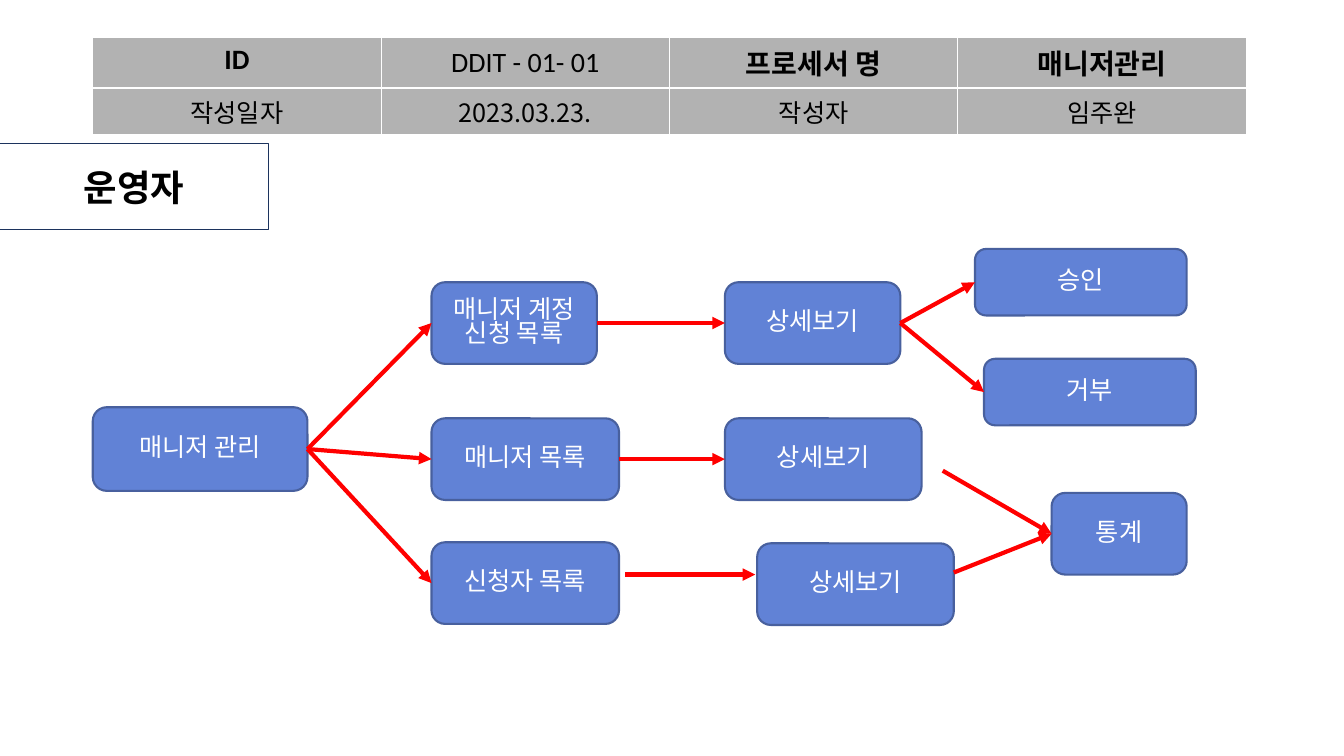
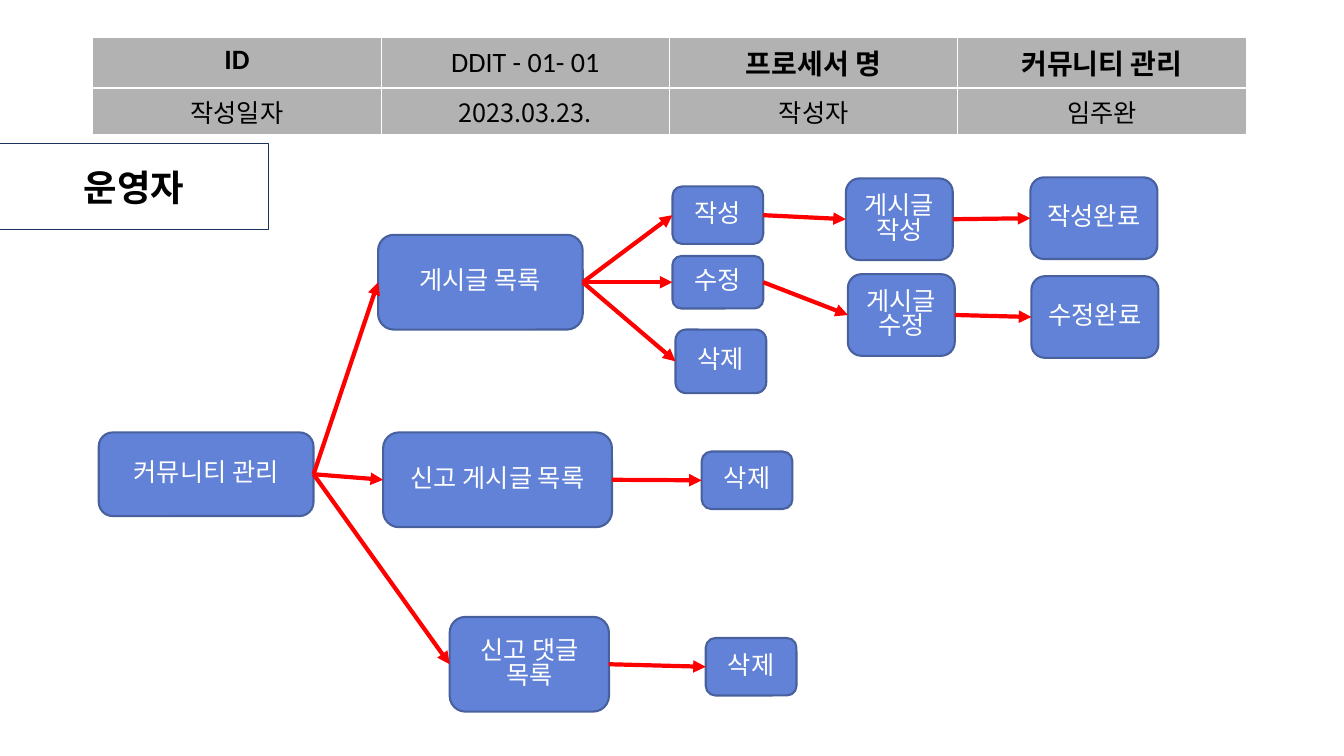
from lxml import etree
from pptx import Presentation
from pptx.dml.color import RGBColor
from pptx.enum.shapes import MSO_CONNECTOR, MSO_SHAPE
from pptx.enum.text import MSO_ANCHOR, PP_ALIGN
from pptx.oxml import parse_xml
from pptx.oxml.ns import nsdecls, qn
from pptx.util import Pt

PX = 9144
WHITE = RGBColor(0xFF, 0xFF, 0xFF)
BLACK = RGBColor(0, 0, 0)
GRAY = RGBColor(0xB2, 0xB2, 0xB2)
BLUE = RGBColor(0x61, 0x82, 0xD6)
BLUE_EDGE = RGBColor(0x48, 0x60, 0x9E)
NAVY = RGBColor(0x1C, 0x33, 0x5D)
RED = RGBColor(0xFF, 0, 0)
RECT, ROUNDED = MSO_SHAPE.RECTANGLE, MSO_SHAPE.ROUNDED_RECTANGLE
STRAIGHT = MSO_CONNECTOR.STRAIGHT
CENTER, TOP, MIDDLE = PP_ALIGN.CENTER, MSO_ANCHOR.TOP, MSO_ANCHOR.MIDDLE
LEFT_SIDE, RIGHT_SIDE = 1, 3
KOREAN, LATIN = "Noto Sans CJK KR", "Calibri"

NODE_FONT = {"name": KOREAN, "size": Pt(18), "bold": False}
ROLE_FONT = {"name": KOREAN, "size": Pt(26), "bold": True}
HEAD_FONT = {"name": LATIN, "size": Pt(20), "bold": True}
HEAD_PLAIN = {**HEAD_FONT, "bold": False}
NODE_STYLE = (ROUNDED, BLUE, BLUE_EDGE, 1.5, WHITE, NODE_FONT, 0.82)
ROLE_STYLE = (RECT, WHITE, NAVY, 0, BLACK, ROLE_FONT, 1.0)

PAGES = [
    {
        "process": "매니저관리",
        "nodes": {
            "manage": ("매니저 관리", 92, 404, 213, 83),
            "requests": ("매니저 계정\n신청 목록", 428, 280, 164, 81),
            "managers": ("매니저 목록", 428, 415, 186, 81),
            "applicants": ("신청자 목록", 428, 538, 186, 81),
            "request detail": ("상세보기", 719, 280, 174, 81),
            "manager detail": ("상세보기", 719, 415, 195, 81),
            "applicant detail": ("상세보기", 751, 539, 195, 81),
            "approve": ("승인", 967, 247, 210, 66),
            "reject": ("거부", 976, 356, 210, 66),
            "statistics": ("통계", 1043, 489, 134, 81),
        },
        "arrows": [
            ("manage", "requests"), ("manage", "managers"), ("manage", "applicants"),
            ("requests", "request detail"), ("managers", "manager detail"),
            ((620, 570), (749, 570)),
            ("request detail", "approve"), ("request detail", "reject"),
            ((935, 467), "statistics"), ((946, 568), "statistics"),
        ],
    },
    {
        "process": "커뮤니티 관리",
        "nodes": {
            "manage": ("커뮤니티 관리", 98, 429, 213, 83),
            "posts": ("게시글 목록", 375, 233, 203, 94),
            "reported posts": ("신고 게시글 목록", 380, 429, 227, 94),
            "reported comments": ("신고 댓글 목록", 446, 612, 158, 94),
            "write": ("작성", 667, 185, 90, 57),
            "edit": ("수정", 667, 254, 90, 52),
            "delete": ("삭제", 670, 327, 90, 63),
            "delete post": ("삭제", 696, 448, 90, 57),
            "delete comment": ("삭제", 700, 633, 90, 57),
            "write post": ("게시글작성", 839, 177, 106, 81),
            "edit post": ("게시글수정", 841, 272, 106, 81),
            "written": ("작성완료", 1022, 176, 126, 81),
            "edited": ("수정완료", 1023, 274, 126, 81),
        },
        "arrows": [
            ("manage", "posts"), ("manage", "reported posts"), ("manage", "reported comments"),
            ("posts", "write"), ("posts", "edit"), ("posts", "delete"),
            ("write", "write post"), ("write post", "written"),
            ("edit", "edit post"), ("edit post", "edited"),
            ("reported posts", "delete post"), ("reported comments", "delete comment"),
        ],
    },
]


def write_text(frame, text, font, color, spacing=1.0):
    frame.word_wrap = True
    frame.text = text
    for para in frame.paragraphs:
        para.alignment = CENTER
        para.line_spacing = spacing
        for span in para.runs:
            for name, value in font.items():
                setattr(span.font, name, value)
            span.font.color.rgb = color
            east_asian = etree.SubElement(span.font._element, qn("a:ea"))
            east_asian.set("typeface", KOREAN)


def add_box(page, text, place, style):
    preset, fill, edge, width, color, font, spacing = style
    box = page.shapes.add_shape(preset, *[n * PX for n in place])
    box.shadow.inherit = False
    box.fill.solid()
    box.fill.fore_color.rgb = fill
    box.line.color.rgb = edge
    box.line.width = Pt(width)
    box.text_frame.vertical_anchor = MIDDLE
    write_text(box.text_frame, text, font, color, spacing)
    return box


deck = Presentation()
deck.slide_width, deck.slide_height = 1333 * PX, 750 * PX

for content in PAGES:
    page = deck.slides.add_slide(deck.slide_layouts[6])

    table = page.shapes.add_table(2, 4, 92 * PX, 37 * PX, 1144 * PX, 84 * PX).table
    for column in table.columns:
        column.width = 286 * PX
    for row, height in zip(table.rows, (43, 41)):
        row.height = height * PX
    rows = [
        [("ID", HEAD_FONT), ("DDIT - 01- 01", HEAD_PLAIN),
         ("프로세서 명", HEAD_FONT), (content["process"], HEAD_FONT)],
        [(text, NODE_FONT) for text in ("작성일자", "2023.03.23.", "작성자", "임주완")],
    ]
    for row, entries in zip(table.rows, rows):
        for cell, (text, font) in zip(row.cells, entries):
            write_text(cell.text_frame, text, font, BLACK)
            cell.vertical_anchor = TOP
            if font is HEAD_PLAIN:
                cell.vertical_anchor = MIDDLE
                for side in ("left", "top", "right", "bottom"):
                    setattr(cell, f"margin_{side}", 0)
            cell.fill.solid()
            cell.fill.fore_color.rgb = GRAY
            properties = cell._tc.get_or_add_tcPr()
            for position, side in enumerate("LRTB"):
                properties.insert(position, parse_xml(
                    f'<a:ln{side} {nsdecls("a")} w="12700"><a:solidFill>'
                    f'<a:srgbClr val="{WHITE}"/></a:solidFill></a:ln{side}>'))

    add_box(page, "운영자", (0, 142, 266, 86), ROLE_STYLE)
    boxes = {name: add_box(page, text, place, NODE_STYLE)
             for name, (text, *place) in content["nodes"].items()}

    for start, end in content["arrows"]:
        x1, y1 = (0, 0) if start in boxes else start
        x2, y2 = (0, 0) if end in boxes else end
        arrow = page.shapes.add_connector(STRAIGHT, x1 * PX, y1 * PX, x2 * PX, y2 * PX)
        if start in boxes:
            arrow.begin_connect(boxes[start], RIGHT_SIDE)
        if end in boxes:
            arrow.end_connect(boxes[end], LEFT_SIDE)
        arrow.line.color.rgb = RED
        arrow.line.width = Pt(3)
        etree.SubElement(arrow.line._get_or_add_ln(), qn("a:tailEnd")).set("type", "triangle")
        etree.SubElement(arrow._element.spPr, qn("a:effectLst"))

deck.save("out.pptx")
